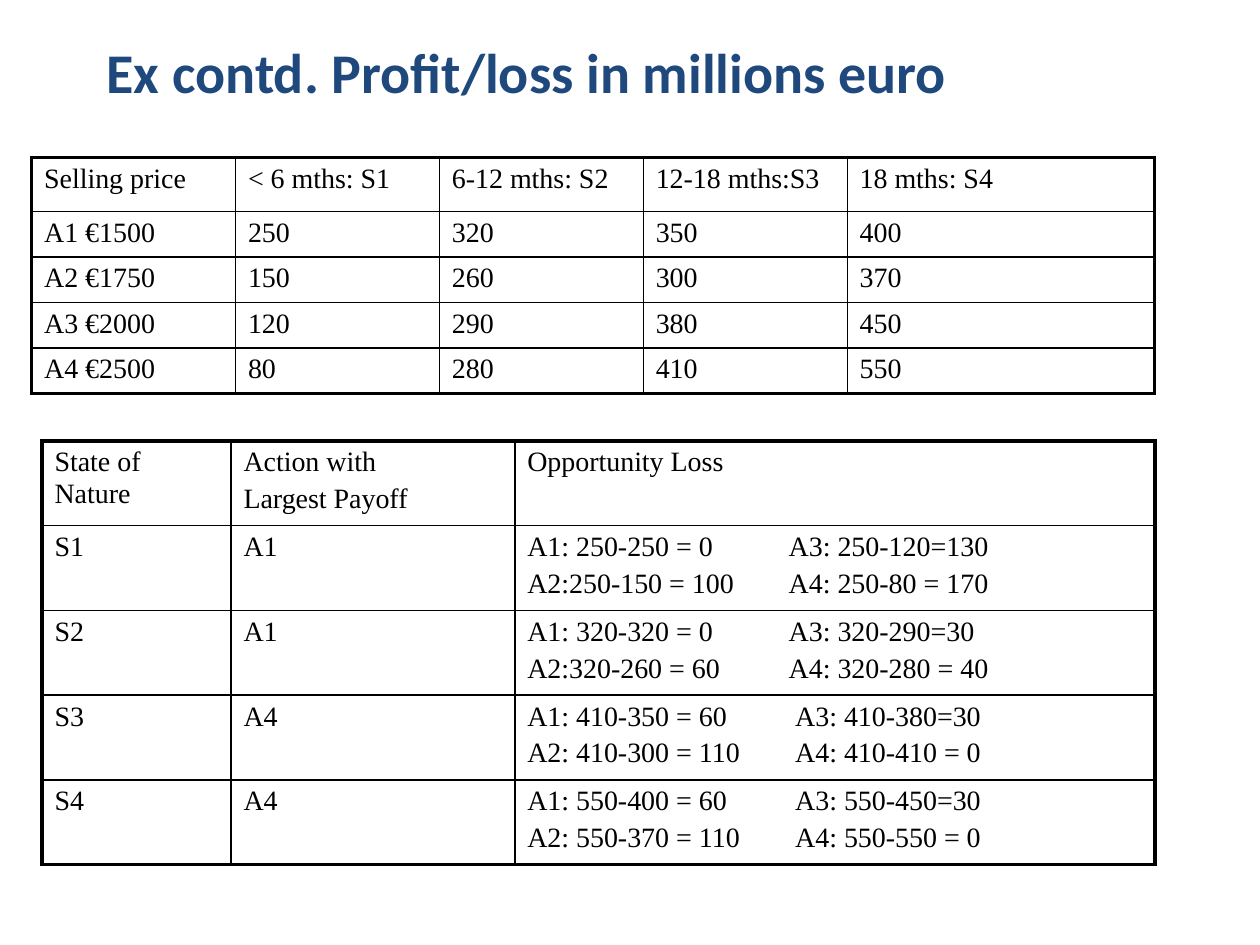
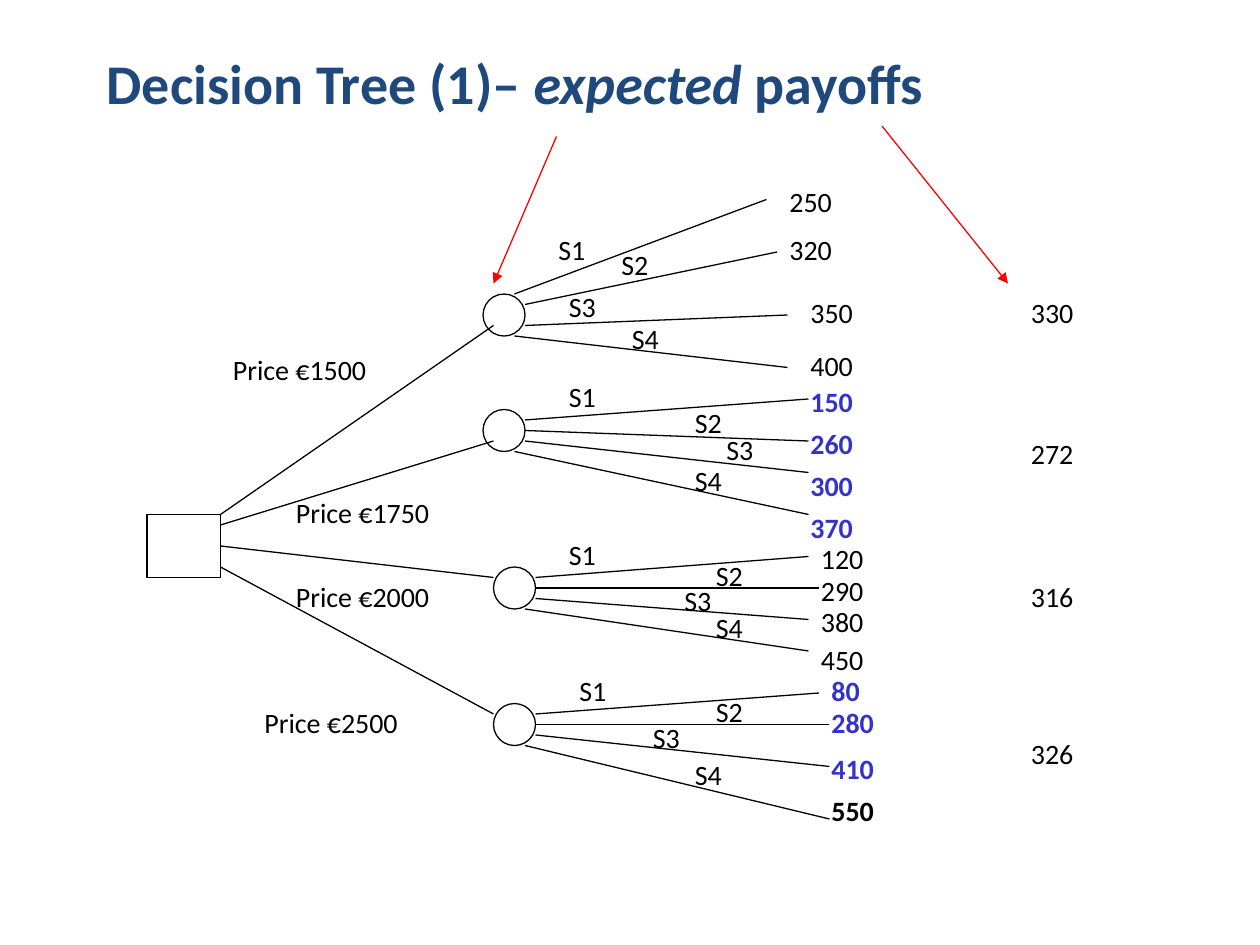
from dataclasses import dataclass
from typing import Any

from lxml.etree import SubElement
from pptx import Presentation
from pptx.dml.color import RGBColor
from pptx.enum.shapes import MSO_CONNECTOR, MSO_SHAPE
from pptx.oxml.ns import qn
from pptx.oxml.xmlchemy import OxmlElement
from pptx.util import Cm, Length, Pt

BLACK, NAVY, BLUE, RED = "000000", "1F497D", "3333CC", "FF0000"
SANS, SERIF = "Calibri", "Times New Roman"
TITLE = {"name": SANS, "size": Pt(32), "bold": True}
LABEL = {"name": SANS, "size": Pt(16)}
CELL = {"name": SERIF, "size": Pt(16)}
THIN, THICK = Pt(1), Pt(2.25)

Point = tuple[float, float]


@dataclass
class Grid:
    """A bordered table; sizes in cm, one tab stop per row."""
    left: float
    top: float
    widths: list[float]
    heights: list[float]
    rows: list[list[str]]
    tabs: list[float]


@dataclass
class Branch:
    """One state of nature: where its line ends and its two labels sit."""
    end: Point
    state: Point
    value: str
    spot: Point
    color: str = BLACK
    bold: bool = False


@dataclass
class Node:
    """One price: its trunk, circle, labels and branches."""
    spot: Point
    root: Point
    join: Point
    price: str
    tag: Point
    payoff: str
    goal: Point
    exits: list[Point]
    twigs: list[Branch]


def rgb(color: str) -> RGBColor:
    return RGBColor.from_string(color)


def step(count: float) -> Length:
    """The tree sits on a grid of twelve steps to 2.54 cm."""
    return Cm(count * 2.54 / 12)


def write(para: Any, text: str, style: dict[str, Any], color: str) -> None:
    run = para.add_run()
    run.text = text
    for key, value in style.items():
        setattr(run.font, key, value)
    run.font.color.rgb = rgb(color)


def add_box(slide: Any, box: tuple[Length, ...], parts: list[tuple[str, dict]],
            color: str = BLACK) -> None:
    frame = slide.shapes.add_textbox(*box).text_frame
    frame.word_wrap = True
    for text, style in parts:
        write(frame.paragraphs[0], text, style, color)


def add_title(slide: Any, top: float, parts: list[tuple[str, dict]]) -> None:
    add_box(slide, (Cm(1.9), Cm(top), Cm(21.6), Cm(2.75)), parts, NAVY)


def add_label(slide: Any, text: str, spot: Point, width: float,
              color: str = BLACK, bold: bool = False) -> None:
    box = (step(spot[0]), step(spot[1]), step(width), step(4.4))
    add_box(slide, box, [(text, LABEL | {"bold": bold})], color)


def add_line(slide: Any, start: Point, end: Point, color: str = BLACK,
             arrow: bool = False) -> Any:
    line = slide.shapes.add_connector(
        MSO_CONNECTOR.STRAIGHT, *map(step, (*start, *end)))
    line.line.color.rgb = rgb(color)
    line.line.width = Pt(0.75)
    if arrow:
        SubElement(line.line._get_or_add_ln(), qn("a:tailEnd"), type="triangle")
    SubElement(line._element.spPr, qn("a:effectLst"))
    return line


def add_shape(slide: Any, kind: MSO_SHAPE, spot: Point, size: Point) -> Any:
    shape = slide.shapes.add_shape(kind, *map(step, (*spot, *size)))
    shape.shadow.inherit = False
    shape.fill.background()
    shape.line.color.rgb = rgb(BLACK)
    shape.line.width = Pt(0.75)
    return shape


def set_edges(cell: Any, outer: dict[str, bool]) -> None:
    """Thick lines on the rim of the table, thin ones inside."""
    for index, (side, rim) in enumerate(outer.items()):
        edge = OxmlElement(f"a:ln{side}")
        edge.set("w", str(int(THICK if rim else THIN)))
        fill = SubElement(edge, qn("a:solidFill"))
        SubElement(fill, qn("a:srgbClr"), val=BLACK)
        cell._tc.get_or_add_tcPr().insert(index, edge)


def fill_cell(cell: Any, text: str, tab: float) -> None:
    margins = {"margin_left": Cm(0.25), "margin_right": Cm(0.25),
               "margin_top": Cm(0.12), "margin_bottom": Cm(0.12)}
    for key, value in margins.items():
        setattr(cell, key, value)
    cell.fill.background()
    frame = cell.text_frame
    for index, line in enumerate(text.split("\n")):
        para = frame.add_paragraph() if index else frame.paragraphs[0]
        if index:
            para.space_before = Pt(3.2)
        if "\t" in line:
            stops = SubElement(para._p.get_or_add_pPr(), qn("a:tabLst"))
            SubElement(stops, qn("a:tab"), pos=str(int(Cm(tab))), algn="l")
        write(para, line, CELL, BLACK)


def add_grid(slide: Any, grid: Grid) -> None:
    high, wide = len(grid.heights), len(grid.widths)
    table = slide.shapes.add_table(
        high, wide, Cm(grid.left), Cm(grid.top),
        Cm(sum(grid.widths)), Cm(sum(grid.heights))).table
    table.first_row = table.horz_banding = False
    for column, width in zip(table.columns, grid.widths):
        column.width = Cm(width)
    for r, (row, height) in enumerate(zip(grid.rows, grid.heights)):
        table.rows[r].height = Cm(height)
        for c, text in enumerate(row):
            cell = table.cell(r, c)
            fill_cell(cell, text, grid.tabs[r])
            set_edges(cell, {"L": c == 0, "R": c == wide - 1,
                             "T": r == 0, "B": r == high - 1})


def add_node(slide: Any, node: Node) -> Any:
    """Draw one price with its branches and return its trunk."""
    trunk = add_line(slide, node.root, node.join)
    add_shape(slide, MSO_SHAPE.OVAL, node.spot, (4, 4))
    x, y = node.spot
    for index, ((dx, dy), twig) in enumerate(zip(node.exits, node.twigs), 1):
        add_line(slide, (x + dx, y + dy), twig.end)
        add_label(slide, twig.value, twig.spot, 9, twig.color, twig.bold)
        add_label(slide, f"S{index}", twig.state, 8)
    add_label(slide, node.price, node.tag, 16)
    add_label(slide, node.payoff, node.goal, 8)
    return trunk


# Profit and loss tables
PROFIT = Grid(0.64, 3.17, [4.11] * 4 + [6.19], [1.09] + [0.88] * 4, [
    ["Selling price", "< 6 mths: S1", "6-12 mths: S2", "12-18 mths:S3", "18 mths: S4"],
    ["A1 €1500", "250", "320", "350", "400"],
    ["A2 €1750", "150", "260", "300", "370"],
    ["A3 €2000", "120", "290", "380", "450"],
    ["A4 €2500", "80", "280", "410", "550"],
], [0] * 5)

LOSS = Grid(0.85, 8.89, [3.81, 5.72, 12.9], [1.62] * 5, [
    ["State of Nature", "Action with\nLargest Payoff", "Opportunity Loss"],
    ["S1", "A1", "A1: 250-250 = 0\tA3: 250-120=130\nA2:250-150 = 100\tA4: 250-80 = 170"],
    ["S2", "A1", "A1: 320-320 = 0\tA3: 320-290=30\nA2:320-260 = 60\tA4: 320-280 = 40"],
    ["S3", "A4", "A1: 410-350 = 60\tA3: 410-380=30\nA2: 410-300 = 110\tA4: 410-410 = 0"],
    ["S4", "A4", "A1: 550-400 = 60\tA3: 550-450=30\nA2: 550-370 = 110\tA4: 550-550 = 0"],
], [0, 5.27, 5.27, 5.4, 5.4])

# Decision tree, in grid steps
WIDE = [(3, 0), (4, 1), (4, 3), (3, 4)]
EVEN = [(4, 1), (4, 2), (4, 3), (3, 4)]
NODES = [
    Node((46, 28), (21, 49), (47, 31), "Price €1500", (21, 33), "330", (97, 27.6), WIDE, [
        Branch((73, 19), (52, 21.6), "250", (74, 17)),
        Branch((74, 24), (58, 23), "320", (74, 21.6)),
        Branch((75, 30), (53, 27), "350", (76, 27.6)),
        Branch((75, 35), (59, 30), "400", (76, 32.6)),
    ]),
    Node((46, 39), (21, 50), (47, 42), "Price €1750", (27, 46.6), "272", (97, 41), EVEN, [
        Branch((77, 38), (53, 35.6), "150", (76, 36), BLUE, True),
        Branch((77, 42), (65, 38), "260", (76, 40), BLUE, True),
        Branch((77, 45), (68, 40.6), "300", (76, 44), BLUE, True),
        Branch((77, 49), (65, 43.6), "370", (76, 48), BLUE, True),
    ]),
    Node((47, 54), (21, 52), (47, 55), "Price €2000", (27, 54.6), "316", (97, 54.6), EVEN, [
        Branch((77, 53), (53, 50.6), "120", (77, 51)),
        Branch((78, 56), (67, 52.6), "290", (77, 54)),
        Branch((77, 59), (64, 55), "380", (77, 57)),
        Branch((77, 62), (67, 57.6), "450", (77, 60.6)),
    ]),
    Node((47, 67), (21, 54), (47, 68), "Price €2500", (24, 66.6), "326", (97, 69.6), EVEN, [
        Branch((78, 66), (54, 63.6), "80", (78, 63.6), BLUE, True),
        Branch((79, 69), (67, 65.6), "280", (78, 66.6), BLUE, True),
        Branch((79, 73), (61, 68), "410", (78, 71), BLUE, True),
        Branch((79, 78), (65, 71.6), "550", (78, 75), BLACK, True),
    ]),
]
ARROWS = [((53, 13), (47, 27)), ((84, 12), (96, 27))]


def draw_tables(slide: Any) -> None:
    add_title(slide, 0.64, [("Ex contd. Profit/loss in millions euro", TITLE)])
    for grid in (PROFIT, LOSS):
        add_grid(slide, grid)


def draw_tree(slide: Any) -> None:
    add_title(slide, 0.85, [("Decision Tree (1)– ", TITLE),
                            ("expected ", TITLE | {"italic": True}),
                            ("payoffs", TITLE)])
    square = add_shape(slide, MSO_SHAPE.RECTANGLE, (14, 49), (7, 6))
    for node in NODES:
        trunk = add_node(slide, node)
        if node.root == (21, 52):  # middle of the square's right side
            trunk.begin_connect(square, 3)
    for start, end in ARROWS:
        add_line(slide, start, end, RED, arrow=True)


def main() -> None:
    deck = Presentation()
    deck.slide_width, deck.slide_height = Cm(25.4), Cm(19.05)
    for draw in (draw_tables, draw_tree):
        draw(deck.slides.add_slide(deck.slide_layouts[6]))
    deck.save("out.pptx")


if __name__ == "__main__":
    main()
